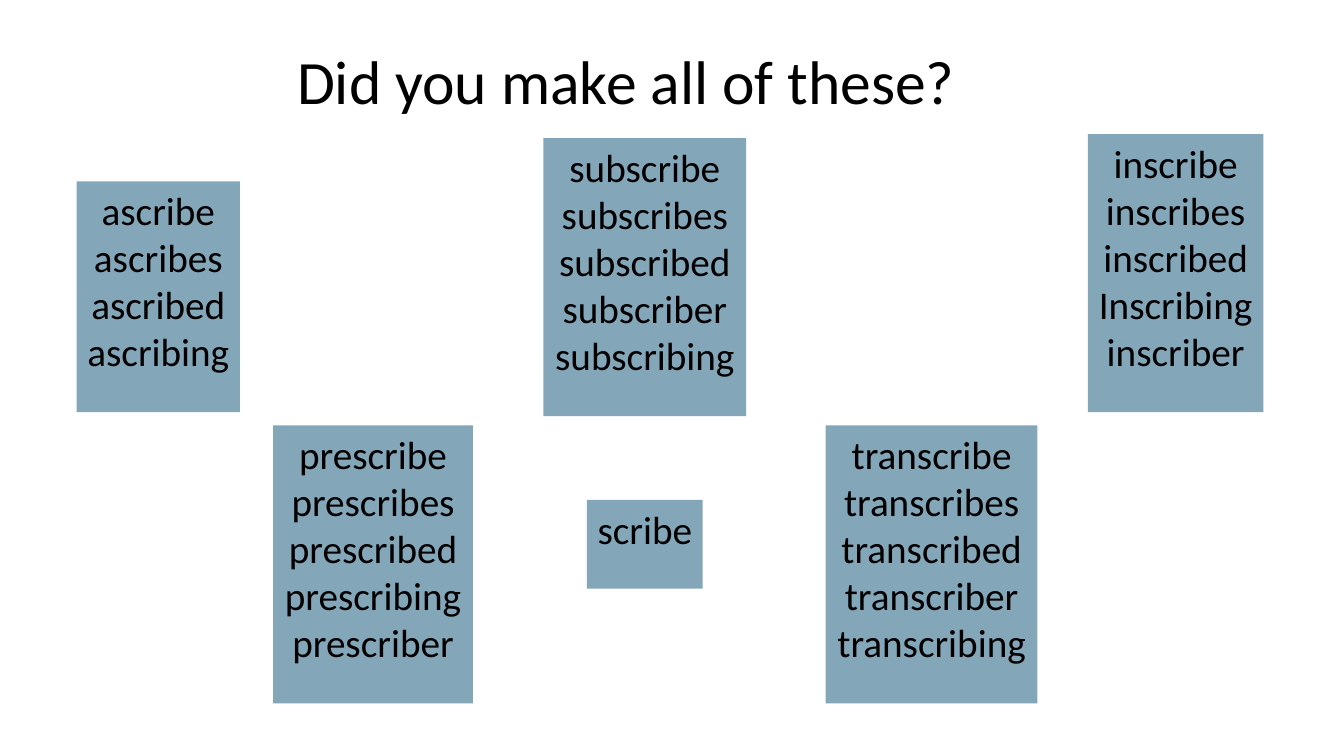
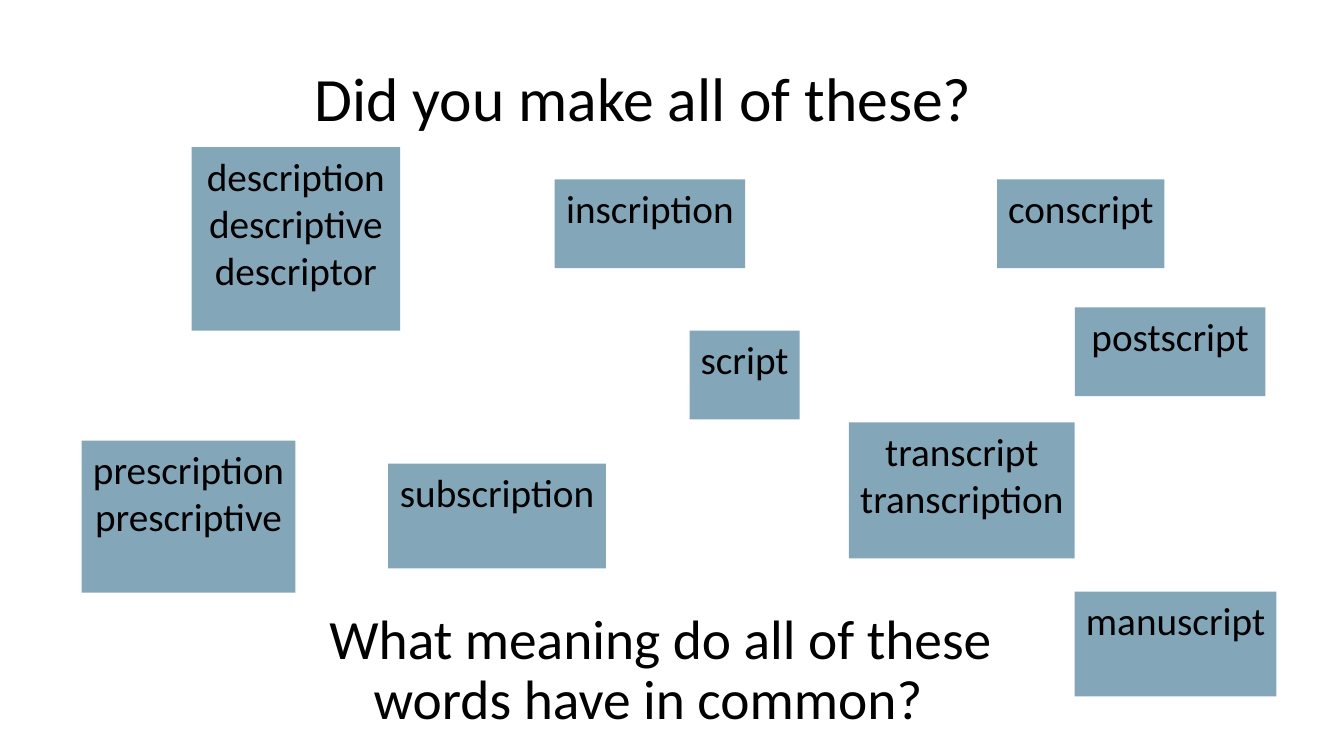
from lxml.etree import SubElement
from pptx import Presentation
from pptx.dml.color import RGBColor
from pptx.enum.shapes import MSO_SHAPE
from pptx.enum.text import MSO_ANCHOR as ANCHOR, MSO_AUTO_SIZE as AUTO_SIZE, PP_ALIGN as ALIGN
from pptx.oxml.ns import qn
from pptx.util import Pt

PX = 9144  # EMU per px, 100 px to the inch
SLIDE_W, SLIDE_H = 1333, 750
TITLE_W, TITLE_H = 712, 125

FONT = "Calibri"
BLACK = RGBColor(0x00, 0x00, 0x00)
BLUE = RGBColor(0x0A, 0x4E, 0x75)
CARD_OPACITY = 50

TITLE = " Did you make all of these?"
QUESTION = " What meaning do all of these words have in common? "

# Each card: (left, top, width, height), words
SCRIBE_CARDS = [
    ((76, 180, 162, 229), "ascribe ascribes ascribed ascribing"),
    ((1079, 133, 174, 276), "inscribe inscribes inscribed Inscribing inscriber"),
    ((271, 422, 198, 276), "prescribe prescribes prescribed prescribing prescriber"),
    ((539, 137, 201, 276), "subscribe subscribes subscribed subscriber subscribing"),
    ((819, 422, 210, 276), "transcribe transcribes transcribed transcriber transcribing"),
    ((582, 496, 115, 88), "scribe"),
]
SCRIPT_CARDS = [
    ((190, 146, 207, 182), "description descriptive descriptor"),
    ((550, 178, 189, 88), "inscription"),
    ((81, 437, 212, 151), "prescription prescriptive"),
    ((842, 419, 224, 135), "transcript transcription"),
    ((385, 460, 216, 104), "subscription"),
    ((1066, 587, 200, 104), "manuscript"),
    ((989, 178, 166, 88), "conscript"),
    ((1066, 305, 189, 88), "postscript"),
    ((684, 328, 109, 88), "script"),
]


def px(*lengths):
    return [n * PX for n in lengths]


def write(s, lines, size=28, align=ALIGN.CENTER, anchor=ANCHOR.TOP, wrap=False, spacing=None):
    tf = s.text_frame
    tf.auto_size = AUTO_SIZE.NONE
    tf.word_wrap = wrap
    tf.vertical_anchor = anchor
    for i, line in enumerate(lines):
        p = tf.paragraphs[0] if i == 0 else tf.add_paragraph()
        p.alignment = align
        p.line_spacing = spacing
        r = p.add_run()
        r.text = line
        r.font.name = FONT
        r.font.size = Pt(size)
        r.font.color.rgb = BLACK


def add_heading(slide, left, top, text, size=44, align=ALIGN.LEFT):
    s = slide.shapes.add_textbox(*px(left, top, TITLE_W, TITLE_H))
    write(s, [text], size=size, align=align, anchor=ANCHOR.MIDDLE, wrap=True, spacing=0.9)


def add_card(slide, box, words):
    """Draw a translucent rectangle with one word to a line."""
    s = slide.shapes.add_shape(MSO_SHAPE.RECTANGLE, *px(*box))
    s.shadow.inherit = False
    s.line.fill.background()
    s.fill.solid()
    s.fill.fore_color.rgb = BLUE
    color = s.fill._xPr.find(qn("a:solidFill"))[0]
    SubElement(color, qn("a:alpha")).set("val", str(CARD_OPACITY * 1000))
    write(s, words.split())


def add_word_slide(prs, title_left, title_top, cards):
    slide = prs.slides.add_slide(prs.slide_layouts[6])
    add_heading(slide, title_left, title_top, TITLE)
    for box, words in cards:
        add_card(slide, box, words)
    return slide


def main():
    prs = Presentation()
    prs.slide_width, prs.slide_height = px(SLIDE_W, SLIDE_H)
    add_word_slide(prs, 271, 21, SCRIBE_CARDS)
    slide = add_word_slide(prs, 288, 38, SCRIPT_CARDS)
    add_heading(slide, 293, 604, QUESTION, size=39.6, align=ALIGN.CENTER)
    prs.save("out.pptx")


if __name__ == "__main__":
    main()
